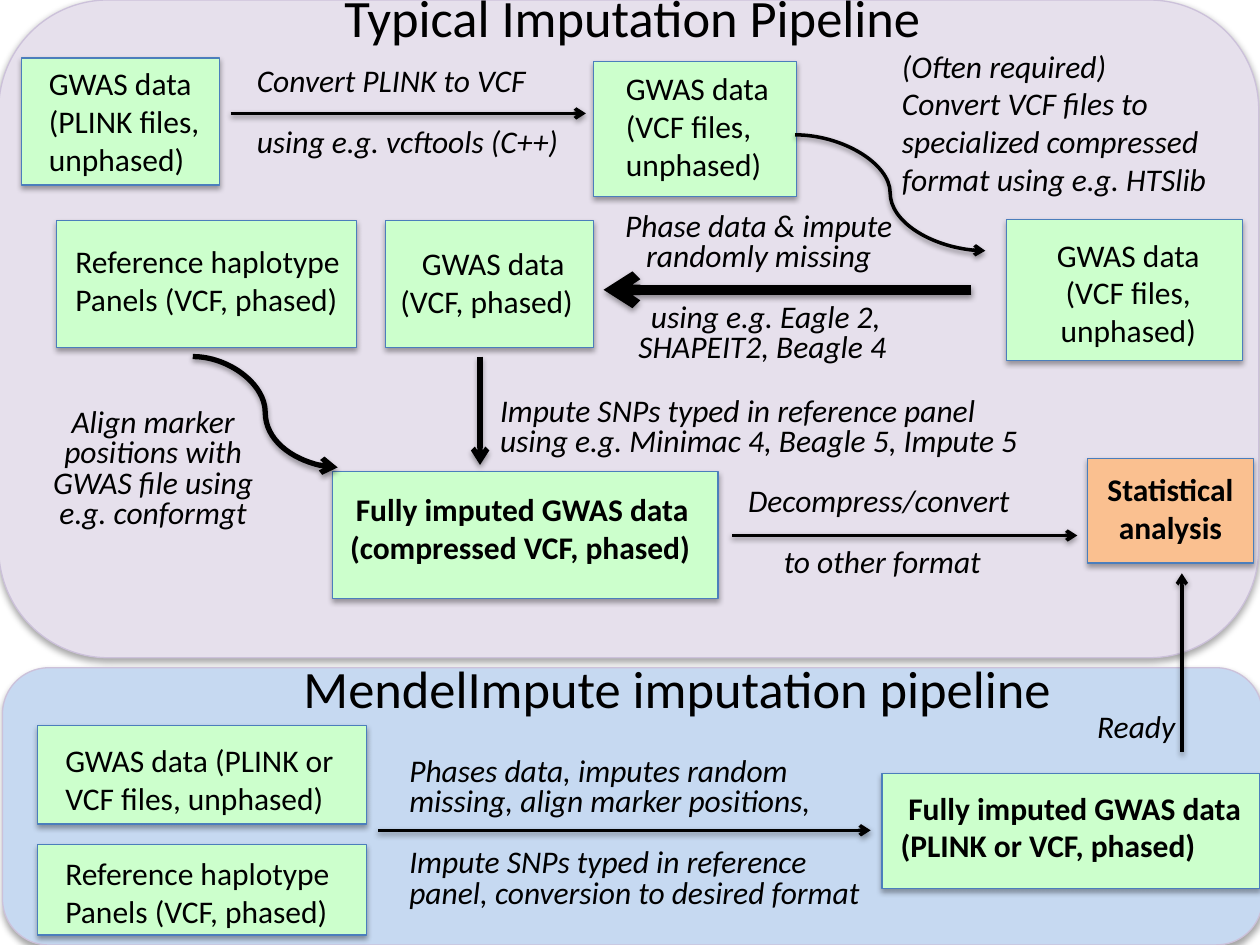
"""Build a slide that sets a typical imputation pipeline against the MendelImpute one."""
from dataclasses import dataclass

from lxml import etree
from pptx import Presentation
from pptx import util as u
from pptx.dml.color import RGBColor
from pptx.enum import shapes, text
from pptx.oxml.ns import qn


@dataclass(frozen=True)
class Theme:
    font: str = "Calibri"
    heading: int = 30
    body: int = 18
    ink: str = "000000"
    lilac: str = "E6E0EC"
    sky: str = "C6D9F1"
    panel_edge: str = "CCC1DA"
    green: str = "CCFFCC"
    orange: str = "FAC090"
    box_edge: str = "4B7EBC"
    edge: float = 0.75
    tight: float = 0.8
    gap: float = 17.6


THEME = Theme()
COLUMNS, ROWS = 10, 7.5
ALIGN = {"l": text.PP_ALIGN.LEFT, "c": text.PP_ALIGN.CENTER}
STRAIGHT, CURVE = shapes.MSO_CONNECTOR.STRAIGHT, shapes.MSO_CONNECTOR.CURVE

TITLE = ("Typical Imputation Pipeline", (1.76, -0.23, 6.52, 0.73))
SUBTITLE = ("MendelImpute imputation pipeline", (2.31, 5.16, 6.21, 0.61))
PANELS = [
    ((-0.01, 0, 10, 5.22), THEME.lilac),
    ((0.02, 5.3, 10, 2.2), THEME.sky),
]

# Each stage: box, label area, alignment per line, lines
STAGES = [
    ((0.17, 0.46, 1.57, 1.01), (0.29, 0.46, 1.54, 1.01), "lll",
     ["GWAS data", "(PLINK files,", "unphased)"]),
    ((4.71, 0.49, 1.61, 1.07), (4.87, 0.5, 1.4, 1.01), "lll",
     ["GWAS data", "(VCF files,", "unphased)"]),
    ((7.99, 1.74, 1.87, 1.12), (7.99, 1.82, 1.93, 1.01), "cc",
     ["GWAS data", "(VCF files, unphased)"]),
    ((3.06, 1.75, 1.65, 1.01), (3.08, 1.89, 1.67, 0.71), "cl",
     ["GWAS data", "(VCF, phased)"]),
    ((0.45, 1.75, 2.38, 1.01), (0.5, 1.87, 2.39, 0.71), "ll",
     ["Reference haplotype", "Panels (VCF, phased)"]),
    ((0.3, 5.76, 2.61, 0.78), (0.42, 5.83, 2.64, 0.71), "l",
     ["GWAS data (PLINK or VCF files, unphased)"]),
    ((0.3, 6.7, 2.61, 0.72), (0.42, 6.73, 2.49, 0.71), "ll",
     ["Reference haplotype", "Panels (VCF, phased)"]),
]
RESULTS = [
    ((2.64, 3.74, 3.06, 1.01), (2.68, 3.84, 2.93, 0.71), "cl",
     ["Fully imputed GWAS data", "(compressed VCF, phased)"], THEME.green),
    ((7, 6.14, 3, 0.91), (7.05, 6.21, 2.96, 0.71), "cl",
     ["Fully imputed GWAS data", "(PLINK or VCF, phased)"], THEME.green),
    ((8.63, 3.64, 1.32, 0.83), (8.61, 3.68, 1.36, 1.01), "c",
     ["Statistical analysis"], THEME.orange),
]

# Each step: area, alignment, line spacing, lines above the arrow, lines below it
STEPS = [
    ((1.94, 0.49, 2.83, 0.84), "l", THEME.tight,
     ["Convert PLINK to VCF"], ["using e.g. vcftools (C++)"]),
    ((7.06, 0.32, 2.62, 1.31), "l", 1.0,
     ["(Often required) Convert VCF files to specialized compressed format using e.g. HTSlib"], []),
    ((4.79, 1.64, 2.52, 1.32), "c", THEME.tight,
     ["Phase data & impute ", "randomly missing "], [" using e.g. Eagle 2, SHAPEIT2, Beagle 4"]),
    ((0.17, 3.2, 2.09, 1.08), "c", THEME.tight,
     ["Align marker positions with GWAS file using e.g. conformgt"], []),
    ((3.87, 3.11, 4.41, 0.6), "l", THEME.tight,
     ["Impute SNPs typed in reference panel", "using e.g. Minimac 4, Beagle 5, Impute 5"], []),
    ((5.37, 3.83, 3.21, 0.84), "c", THEME.tight,
     ["Decompress/convert"], [" to other format"]),
    ((3.15, 5.97, 3.89, 1.32), "l", THEME.tight,
     ["Phases data, imputes random", "missing, align marker positions,"],
     ["Impute SNPs typed in reference", "panel, conversion to desired format"]),
    ((8.61, 5.56, 0.89, 0.4), "l", 1.0, ["Ready"], []),
]
ARROWS = [
    (STRAIGHT, (1.83, 0.9), (4.65, 0.9), 2),
    (CURVE, (6.31, 1.07), (7.82, 1.99), 2),
    (STRAIGHT, (7.71, 2.3), (4.79, 2.3), 6),
    (CURVE, (1.53, 2.83), (2.68, 3.71), 3),
    (STRAIGHT, (3.81, 2.83), (3.81, 3.69), 3),
    (STRAIGHT, (5.81, 4.25), (8.55, 4.25), 2),
    (STRAIGHT, (3, 6.59), (6.91, 6.59), 2),
    (STRAIGHT, (9.38, 5.97), (9.38, 4.55), 2),
]

deck = Presentation()
deck.slide_width, deck.slide_height = u.Inches(10), u.Inches(7.5)
slide = deck.slides.add_slide(deck.slide_layouts[5])


def place(*lengths):
    """Turn alternating column and row counts into slide lengths."""
    units = deck.slide_width / COLUMNS, deck.slide_height / ROWS
    return [round(length * units[i % 2]) for i, length in enumerate(lengths)]


def add_box(kind, area, fill, edge):
    """Add a filled outline that keeps the theme's soft shadow."""
    box = slide.shapes.add_shape(kind, *place(*area))
    box.fill.solid()
    box.fill.fore_color.rgb = RGBColor.from_string(fill)
    box.line.color.rgb = RGBColor.from_string(edge)
    box.line.width = u.Pt(THEME.edge)


def write(frame, lines, aligns, size=THEME.body, bold=False, italic=False, spacing=1.0):
    """Write one paragraph per line and return the paragraphs."""
    frame.word_wrap = True
    frame.text = "\n".join(lines)
    for paragraph, align in zip(frame.paragraphs, aligns):
        paragraph.alignment = ALIGN[align]
        paragraph.line_spacing = spacing
        font = paragraph.font
        font.name, font.size, font.bold, font.italic = THEME.font, u.Pt(size), bold, italic
        font.color.rgb = RGBColor.from_string(THEME.ink)
    return frame.paragraphs


def add_label(area, lines, aligns, **style):
    """Add a text box that grows with its text."""
    frame = slide.shapes.add_textbox(*place(*area)).text_frame
    frame.auto_size = text.MSO_AUTO_SIZE.SHAPE_TO_FIT_TEXT
    return write(frame, lines, aligns, **style)


def add_arrow(kind, start, end, width):
    """Add a connector with an open arrowhead at its end."""
    arrow = slide.shapes.add_connector(kind, *place(*start, *end))
    arrow.line.color.rgb = RGBColor.from_string(THEME.ink)
    arrow.line.width = u.Pt(width)
    etree.SubElement(arrow.line._get_or_add_ln(), qn("a:tailEnd"), type="arrow")


for area, fill in PANELS:
    add_box(shapes.MSO_SHAPE.ROUNDED_RECTANGLE, area, fill, THEME.panel_edge)

heading, heading_area = TITLE
title = slide.shapes.title
title.left, title.top, title.width, title.height = place(*heading_area)
title.text_frame.vertical_anchor = text.MSO_ANCHOR.MIDDLE
write(title.text_frame, [heading], "c", size=THEME.heading)
slide.shapes._spTree.append(title._element)
add_label(SUBTITLE[1], [SUBTITLE[0]], "l", size=THEME.heading)

for stages, bold in ((((*stage, THEME.green) for stage in STAGES), False), (RESULTS, True)):
    for box_area, label_area, aligns, lines, fill in stages:
        add_box(shapes.MSO_SHAPE.RECTANGLE, box_area, fill, THEME.box_edge)
        add_label(label_area, lines, aligns, bold=bold)

for area, align, spacing, above, below in STEPS:
    lines = above + below
    paragraphs = add_label(area, lines, align * len(lines), italic=True, spacing=spacing)
    if below:
        paragraphs[len(above)].space_before = u.Pt(THEME.gap)

for arrow in ARROWS:
    add_arrow(*arrow)

deck.save("out.pptx")
